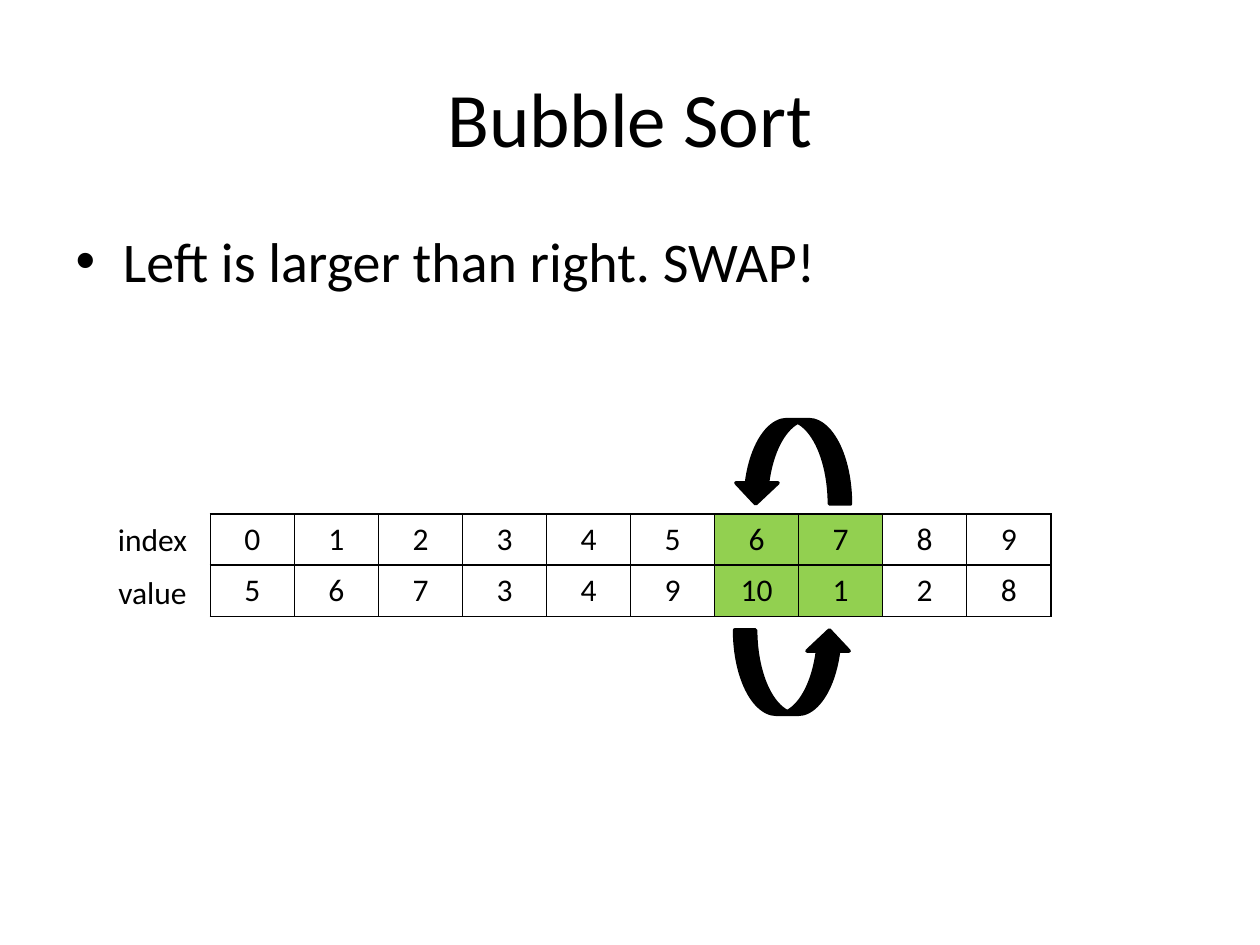
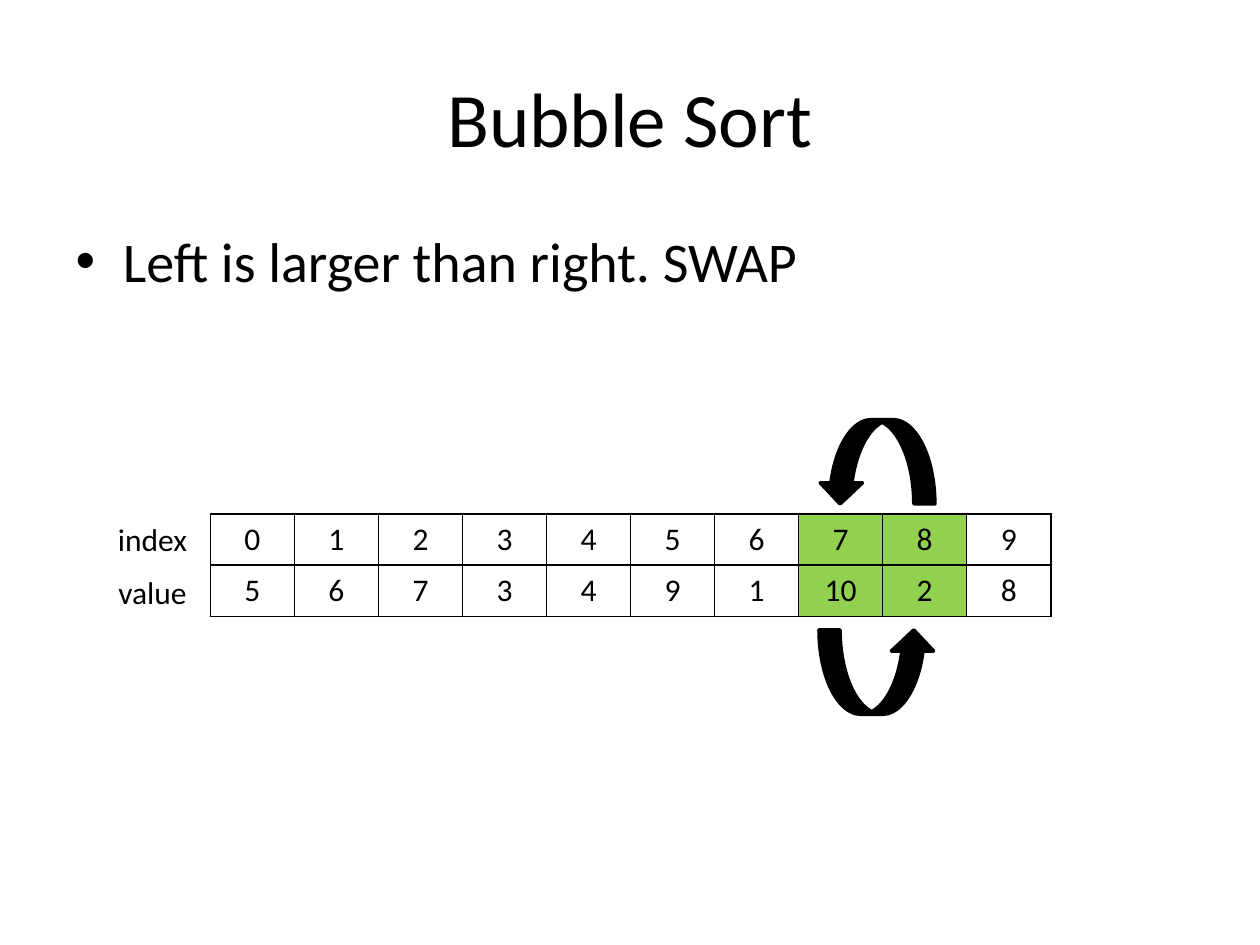
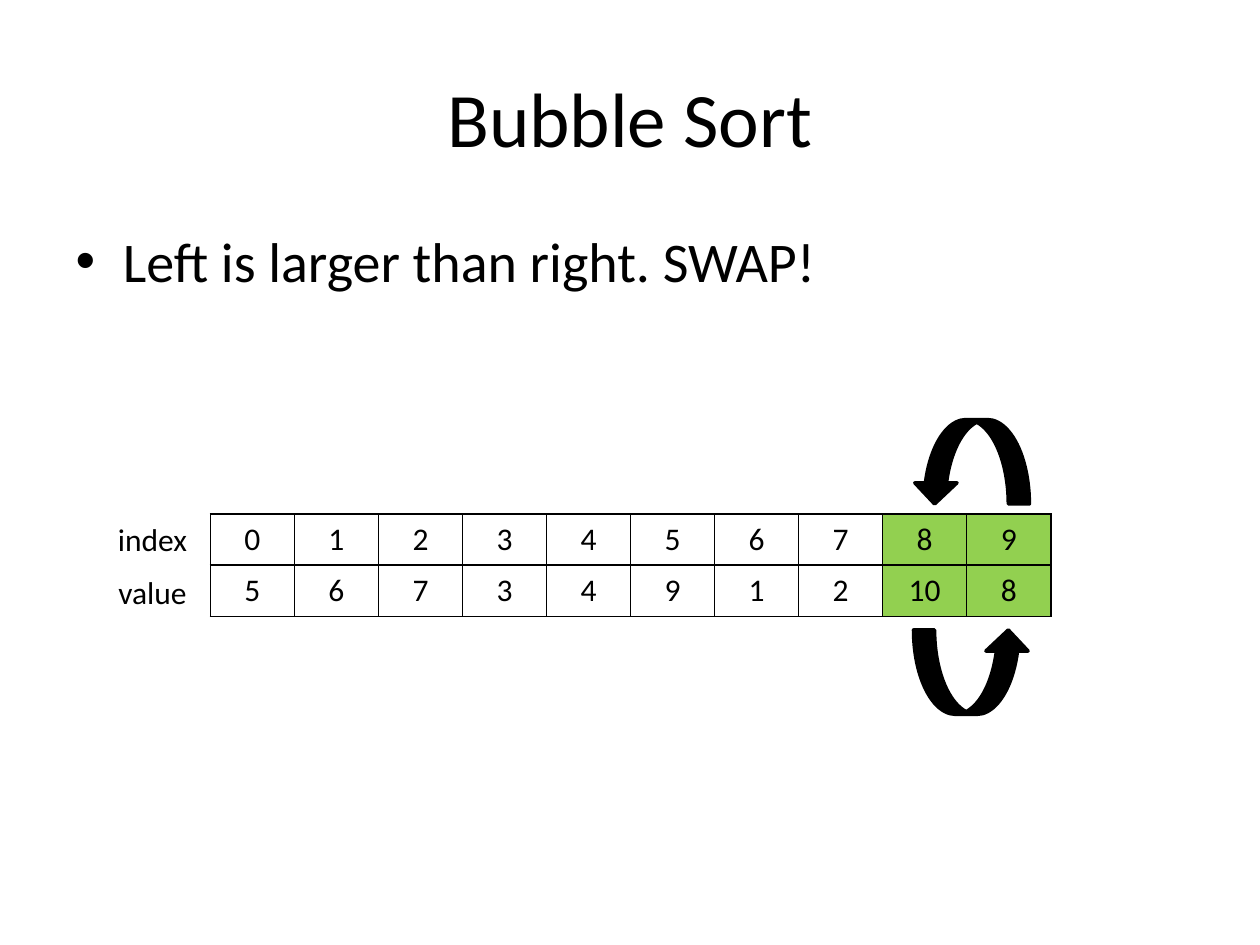
import pptx
import pptx.util
import pptx.dml.color
import pptx.enum.shapes
import pptx.enum.text
import pptx.oxml
import pptx.oxml.ns

Inches = pptx.util.Inches
Pt = pptx.util.Pt
SHAPE = pptx.enum.shapes.MSO_SHAPE
CENTER = pptx.enum.text.PP_ALIGN.CENTER

COLORS = {"ink": "000000", "cell": "FFFFFF", "compared": "92D050"}
FONT = "Calibri"
COL_W, ROW_H = 0.667, 0.405
TABLE_LEFT, TABLE_TOP = 1.67, 4.08
ARROW_W, ARROW_H = 0.92, 0.67


def rgb(name):
    return pptx.dml.color.RGBColor.from_string(COLORS[name])


def write(tf, text, size=18, align=None, color="ink"):
    p = tf.paragraphs[0]
    if align is not None:
        p.alignment = align
    r = p.add_run()
    r.text = text
    r.font.size = Pt(size)
    r.font.name = FONT
    r.font.color.rgb = rgb(color)


prs = pptx.Presentation()
prs.slide_width, prs.slide_height = Inches(10), Inches(7.5)

# Each step: message, index of the left compared cell, left edge of the arrows
steps = [
    ("Left is larger than right. SWAP!", 6, 5.83),
    ("Left is larger than right. SWAP", 7, 6.5),
    ("Left is larger than right. SWAP!", 8, 7.25),
]
values = [5, 6, 7, 3, 4, 9, 10, 1, 2, 8]

for message, left, arrow_left in steps:
    s = prs.slides.add_slide(prs.slide_layouts[1])

    # Title and message
    title, body = s.placeholders
    title.left, title.top = Inches(0.5), Inches(0.3)
    title.width, title.height = Inches(9), Inches(1.25)
    write(title.text_frame, "Bubble Sort", size=44, align=CENTER)
    body.left, body.top = Inches(0.5), Inches(1.75)
    body.width, body.height = Inches(9), Inches(4.95)
    write(body.text_frame, message, size=32)

    # Array table
    n = len(values)
    table = s.shapes.add_table(2, n, Inches(TABLE_LEFT), Inches(TABLE_TOP),
                               Inches(n * COL_W), Inches(2 * ROW_H)).table
    table.first_row = table.horz_banding = False
    for col in table.columns:
        col.width = Inches(COL_W)
    for row, numbers in zip(table.rows, (range(n), values)):
        row.height = Inches(ROW_H)
        for i, (cell, number) in enumerate(zip(row.cells, numbers)):
            write(cell.text_frame, str(number), align=CENTER)
            tcPr = cell._tc.get_or_add_tcPr()
            for side in ("lnL", "lnR", "lnT", "lnB"):
                tcPr.append(pptx.oxml.parse_xml(
                    f'<a:{side} {pptx.oxml.ns.nsdecls("a")} w="12700"><a:solidFill>'
                    f'<a:srgbClr val="{COLORS["ink"]}"/></a:solidFill></a:{side}>'))
            cell.fill.solid()
            cell.fill.fore_color.rgb = rgb("compared" if i in (left, left + 1) else "cell")

    # Row labels
    for i, label in enumerate(("index", "value")):
        tb = s.shapes.add_textbox(Inches(0.75), Inches(TABLE_TOP + 0.42 * i),
                                  Inches(0.92), Inches(0.42))
        tb.text_frame.word_wrap = True
        tb.text_frame.auto_size = pptx.enum.text.MSO_AUTO_SIZE.SHAPE_TO_FIT_TEXT
        write(tb.text_frame, label, align=CENTER)

    # Swap arrows: below points right, above is mirrored to point left
    for kind, top, mirrored in ((SHAPE.CURVED_UP_ARROW, 5, False),
                                (SHAPE.CURVED_DOWN_ARROW, 3.33, True)):
        sp = s.shapes.add_shape(kind, Inches(arrow_left), Inches(top),
                                Inches(ARROW_W), Inches(ARROW_H))
        sp.shadow.inherit = False
        sp.fill.solid()
        sp.fill.fore_color.rgb = rgb("ink")
        sp.line.color.rgb = rgb("ink")
        sp.line.width = Pt(2)
        if mirrored:
            sp._element.spPr.xfrm.set("flipH", "1")

    # Swap the compared pair for the next step
    values[left], values[left + 1] = values[left + 1], values[left]

prs.save("out.pptx")
